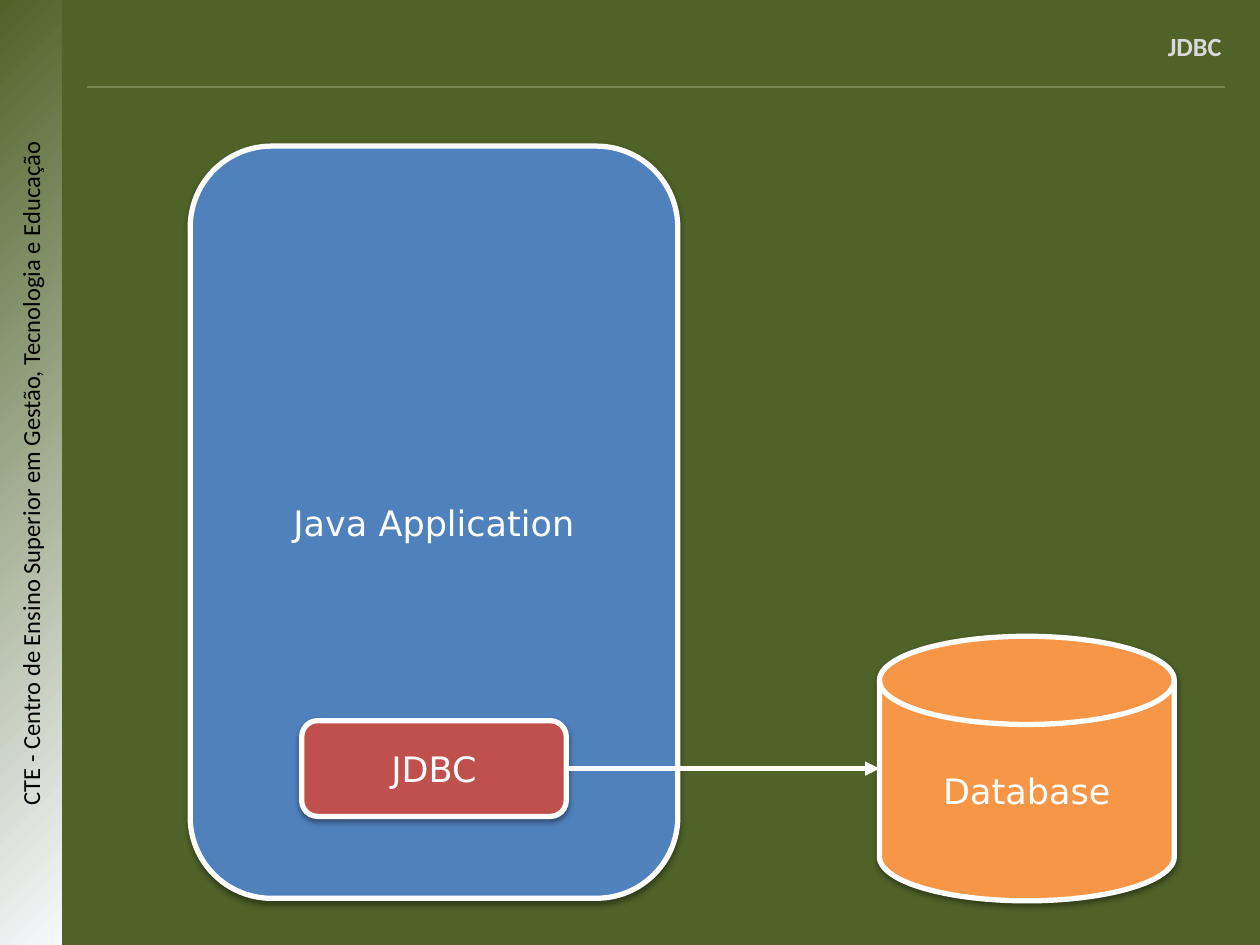
from lxml import etree
from pptx import Presentation
from pptx.dml.color import RGBColor
from pptx.enum.shapes import MSO_CONNECTOR, MSO_SHAPE
from pptx.enum.text import MSO_ANCHOR, PP_ALIGN
from pptx.oxml import parse_xml
from pptx.oxml.ns import nsdecls, qn
from pptx.util import Inches, Pt

GREEN = RGBColor(0x4F, 0x62, 0x28)
RULE = RGBColor(0x76, 0x89, 0x52)
PALE = RGBColor(0xF6, 0xF9, 0xFC)
WHITE = RGBColor(0xFF, 0xFF, 0xFF)
BLACK = RGBColor(0, 0, 0)
GRAY = RGBColor(0xD9, 0xD9, 0xD9)
BLUE = RGBColor(0x4F, 0x81, 0xBD)
RED = RGBColor(0xC0, 0x50, 0x4D)
ORANGE = RGBColor(0xF7, 0x96, 0x46)

SHADOW = (f'<a:effectLst {nsdecls("a")}><a:outerShdw blurRad="39370" dist="20320" '
          'dir="5400000" rotWithShape="0"><a:srgbClr val="000000">'
          '<a:alpha val="38000"/></a:srgbClr></a:outerShdw></a:effectLst>')
CORNER_PATH = (f'<a:path {nsdecls("a")} path="circle">'
               '<a:fillToRect l="100000" t="100000"/></a:path>')


def style_text(tf, text, size, font, color, bold=False):
    """Set one run of text with its font."""
    tf.text = text
    f = tf.paragraphs[0].runs[0].font
    f.size, f.name, f.bold = Pt(size), font, bold
    f.color.rgb = color


def add_label(s, box, text, size, color, bold=False, wrap=True):
    """Add a plain text box and return it."""
    sp = s.shapes.add_textbox(*map(Inches, box))
    sp.text_frame.word_wrap = wrap
    style_text(sp.text_frame, text, size, "Calibri", color, bold)
    return sp


def add_line(s, start, end, color, width):
    """Add a straight line without a shadow and return it."""
    line = s.shapes.add_connector(MSO_CONNECTOR.STRAIGHT,
                                  *map(Inches, (*start, *end)))
    line.line.color.rgb = color
    line.line.width = Pt(width)
    etree.SubElement(line._element.spPr, qn("a:effectLst"))
    return line


def add_sidebar(s, left, top, width, height):
    """Add the shaded side strip with the school name turned upwards."""
    strip = s.shapes.add_shape(MSO_SHAPE.RECTANGLE,
                               *map(Inches, (left, top, width, height)))
    strip.shadow.inherit = False
    strip.line.fill.background()
    strip.fill.gradient()
    for stop, color in zip(strip.fill.gradient_stops, (PALE, GREEN)):
        stop.color.rgb = color
    lin = strip._element.spPr.find(qn("a:gradFill")).find(qn("a:lin"))
    lin.getparent().replace(lin, parse_xml(CORNER_PATH))

    length, depth = 5.58, 0.34
    name = add_label(s, (left + width / 2 - length / 2, top + height / 2 - 0.22,
                         length, depth),
                     "CTE - Centro de Ensino Superior em Gestão, Tecnologia e Educação",
                     14, BLACK)
    name.rotation = 270


def add_header(s, left, top, width, height):
    """Add the right-hand title and the rule under it."""
    add_line(s, (left, top + height), (left + width, top + height), RULE, 0.75)
    add_label(s, (left + width - 0.55, top, 0.63, 0.35), "JDBC", 15, GRAY,
              bold=True, wrap=False)


def add_component(s, kind, box, text, color):
    """Add a white-edged diagram block and return it."""
    sp = s.shapes.add_shape(kind, *map(Inches, box))
    sp.fill.solid()
    sp.fill.fore_color.rgb = color
    sp.line.color.rgb = WHITE
    sp.line.width = Pt(3)
    sp._element.spPr.append(parse_xml(SHADOW))
    tf = sp.text_frame
    tf.vertical_anchor = MSO_ANCHOR.MIDDLE
    style_text(tf, text, 20, "DejaVu Sans", WHITE)
    tf.paragraphs[0].alignment = PP_ALIGN.CENTER
    return sp


def add_diagram(s, left, top, width, height):
    """Add the application, its JDBC layer and the database it reaches."""
    app_w, jdbc_w, jdbc_h, db_w, db_h = 3.87, 2.1, 0.76, 2.34, 2.1
    jdbc_x = left + (app_w - jdbc_w) / 2
    db_x = left + width - db_w
    db_y = top + height - db_h + 0.02
    mid_y = db_y + db_h / 2
    add_component(s, MSO_SHAPE.FLOWCHART_MAGNETIC_DISK,
                  (db_x, db_y, db_w, db_h), "Database", ORANGE)
    add_component(s, MSO_SHAPE.ROUNDED_RECTANGLE,
                  (left, top, app_w, height), "Java Application", BLUE)
    add_component(s, MSO_SHAPE.ROUNDED_RECTANGLE,
                  (jdbc_x, mid_y - jdbc_h / 2, jdbc_w, jdbc_h), "JDBC", RED)
    arrow = add_line(s, (jdbc_x + jdbc_w, mid_y), (db_x, mid_y), WHITE, 2.75)
    etree.SubElement(arrow.line._get_or_add_ln(), qn("a:tailEnd"), type="triangle")


def main():
    """Build the slide and save it."""
    prs = Presentation()
    prs.slide_width, prs.slide_height = Inches(10), Inches(7.5)
    s = prs.slides.add_slide(prs.slide_layouts[6])
    s.background.fill.solid()
    s.background.fill.fore_color.rgb = GREEN
    add_sidebar(s, 0, 0, 0.49, 7.5)
    add_header(s, 0.69, 0.19, 9.03, 0.5)
    add_diagram(s, 1.51, 1.16, 7.81, 5.97)
    prs.save("out.pptx")


main()
